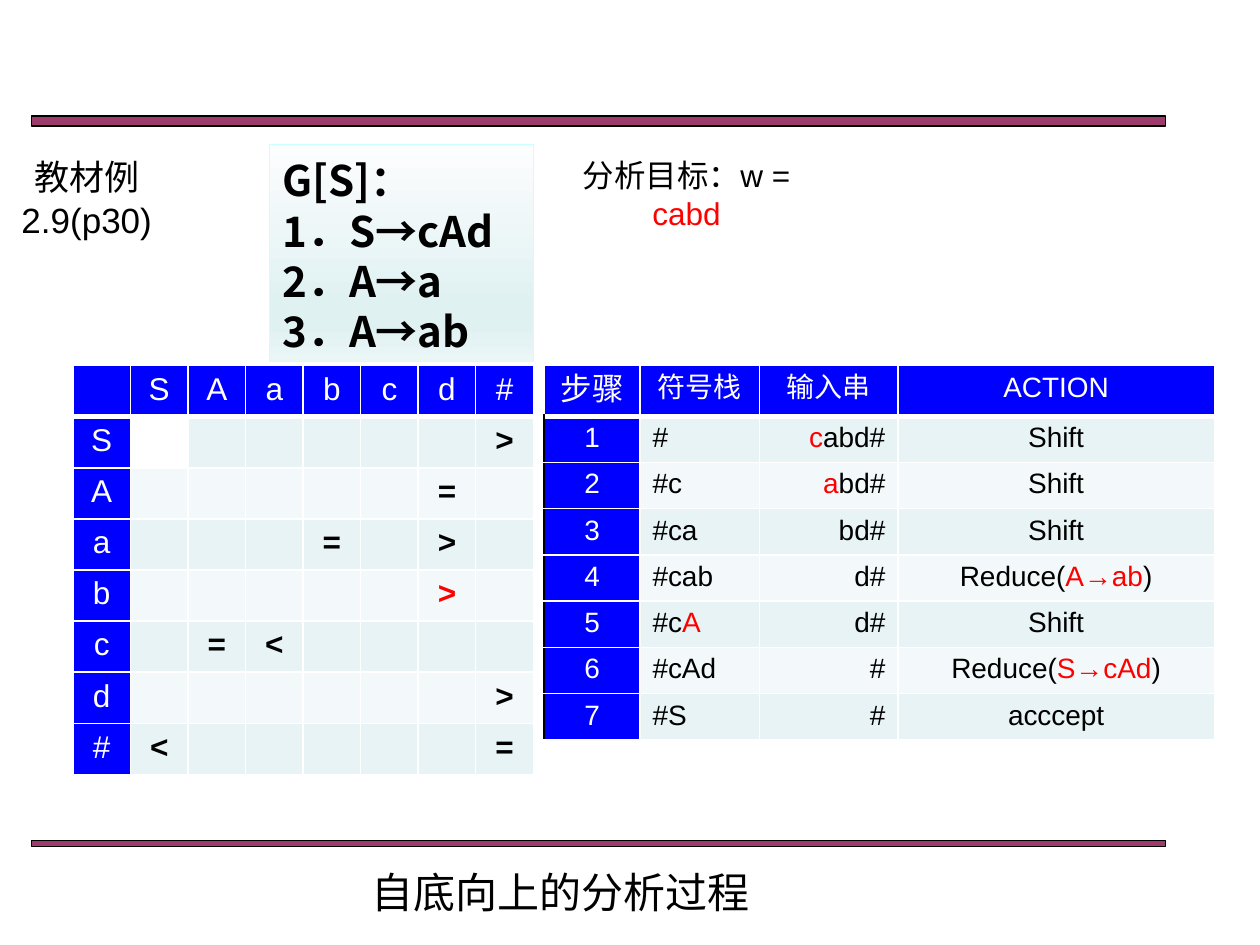
from lxml import etree
from pptx import Presentation
from pptx.dml.color import RGBColor
from pptx.enum.shapes import MSO_SHAPE
from pptx.enum.text import MSO_ANCHOR, MSO_AUTO_SIZE, PP_ALIGN
from pptx.oxml.ns import qn
from pptx.util import Cm, Pt

RECTANGLE = MSO_SHAPE.RECTANGLE
TOP = MSO_ANCHOR.TOP
FIXED = MSO_AUTO_SIZE.NONE
LEFT, CENTER, RIGHT, JUSTIFY = PP_ALIGN.LEFT, PP_ALIGN.CENTER, PP_ALIGN.RIGHT, PP_ALIGN.JUSTIFY
BLACK, WHITE, RED, BLUE = "000000", "FFFFFF", "FF0000", "0000FF"
BANDS = ["E7F3F4", "F3F9FA"]


def rgb(color):
    return RGBColor.from_string(color)


class SlideBuilder:
    font = "Arial"
    grammar_font = "Noto Sans CJK SC"
    rule_color = "993366"
    grammar_line = "CCFFFF"
    grammar_stops = [(0, "FCFDFE"), (74, "E0F1F2"), (83, "E0F1F2"), (100, "EBF6F7")]

    def __init__(self, slide):
        self.slide = slide

    def add_runs(self, paragraph, text, size, color=BLACK, align=CENTER, bold=False, font=None):
        paragraph.alignment = align
        for index, piece in enumerate(text.split("*")):
            if not piece:
                continue
            run = paragraph.add_run()
            run.text = piece
            run.font.size = Pt(size)
            run.font.bold = bold
            run.font.name = font or self.font
            run.font.color.rgb = rgb(RED if index % 2 else color)
            east_asian = etree.SubElement(run._r.get_or_add_rPr(), qn("a:ea"))
            east_asian.set("typeface", font or self.font)

    def panel(self, left, top, width, height, line_color):
        panel = self.slide.shapes.add_shape(RECTANGLE, Cm(left), Cm(top), Cm(width), Cm(height))
        panel.shadow.inherit = False
        panel.line.color.rgb = rgb(line_color)
        panel.line.width = Pt(0.75)
        return panel

    def rule(self, top, height):
        rule = self.panel(0.64, top, 22.86, height, BLACK)
        rule.fill.solid()
        rule.fill.fore_color.rgb = rgb(self.rule_color)
        color = next(rule._element.spPr.iter(qn("a:srgbClr")))
        etree.SubElement(color, qn("a:alpha")).set("val", "96000")

    def grammar(self, productions, left, top, width, height):
        grammar = self.panel(left, top, width, height, self.grammar_line)
        grammar.fill.gradient()
        grammar.fill.gradient_angle = 270
        stops = next(grammar._element.spPr.iter(qn("a:gsLst")))
        stops.clear()
        for position, color in self.grammar_stops:
            stop = etree.SubElement(stops, qn("a:gs"))
            stop.set("pos", str(position * 1000))
            etree.SubElement(stop, qn("a:srgbClr")).set("val", color)
        frame = grammar.text_frame
        frame.vertical_anchor = TOP
        frame.margin_top = Cm(0.2)
        for index, production in enumerate(productions):
            paragraph = frame.add_paragraph() if index else frame.paragraphs[0]
            paragraph.line_spacing = Pt(28.8)
            self.add_runs(paragraph, production, 24, align=JUSTIFY, bold=True, font=self.grammar_font)

    def note(self, text, left, top, width, height, size):
        note = self.slide.shapes.add_textbox(Cm(left), Cm(top), Cm(width), Cm(height))
        note.text_frame.word_wrap = True
        self.add_runs(note.text_frame.paragraphs[0], text, size)

    def title(self, text, left, top, width, height):
        title = self.slide.shapes.title
        title.left, title.top, title.width, title.height = Cm(left), Cm(top), Cm(width), Cm(height)
        frame = title.text_frame
        frame.auto_size = FIXED
        frame.word_wrap = False
        frame.vertical_anchor = TOP
        self.add_runs(frame.paragraphs[0], text, 24)

    def table(self, left, top, widths, heights):
        frame = self.slide.shapes.add_table(
            len(heights), len(widths), Cm(left), Cm(top), Cm(sum(widths)), Cm(sum(heights)))
        table = frame.table
        for column, width in zip(table.columns, widths):
            column.width = Cm(width)
        for row, height in zip(table.rows, heights):
            row.height = Cm(height)
        return table

    def cell(self, cell, text, fill, size, color=BLACK, align=CENTER, bold=False,
             left_border=WHITE, bottom_width=1):
        self.add_runs(cell.text_frame.paragraphs[0], text, size, color, align, bold)
        properties = cell._tc.get_or_add_tcPr()
        borders = [("L", left_border, 1), ("R", WHITE, 1), ("T", WHITE, 1), ("B", WHITE, bottom_width)]
        for side, border_color, width in borders:
            border = etree.SubElement(properties, qn(f"a:ln{side}"))
            border.set("w", str(Pt(width)))
            solid = etree.SubElement(border, qn("a:solidFill"))
            etree.SubElement(solid, qn("a:srgbClr")).set("val", border_color)
        if fill:
            cell.fill.solid()
            cell.fill.fore_color.rgb = rgb(fill)
        else:
            cell.fill.background()

    def precedence(self, symbols, relations, left, top):
        labels = [""] + symbols
        table = self.table(left, top, [1.16] * len(labels), [1.03] * len(labels))
        for row, row_label in enumerate(labels):
            for column, column_label in enumerate(labels):
                cell = table.cell(row, column)
                if row == 0:
                    self.cell(cell, column_label, BLUE, 18, WHITE, bottom_width=3)
                elif column == 0:
                    self.cell(cell, row_label, BLUE, 18, WHITE)
                else:
                    fill = None if row == column == 1 else BANDS[(row - 1) % 2]
                    relation = relations.get((row_label, column_label), "")
                    self.cell(cell, relation, fill, 18, bold=True)

    def steps(self, headings, moves, left, top):
        table = self.table(left, top, [1.93, 2.41, 2.79, 6.38], [1.02] + [0.93] * len(moves))
        for column, heading in enumerate(headings):
            self.cell(table.cell(0, column), heading, BLUE, 16 if column else 18, WHITE, bottom_width=3)
        for number, move in enumerate(moves, 1):
            self.cell(table.cell(number, 0), str(number), BLUE, 16, WHITE, left_border=BLACK)
            for column, (text, align) in enumerate(zip(move, [LEFT, RIGHT, CENTER]), 1):
                self.cell(table.cell(number, column), text, BANDS[(number - 1) % 2], 16, align=align)


def main():
    presentation = Presentation()
    presentation.slide_width, presentation.slide_height = Cm(25.4), Cm(19.05)
    builder = SlideBuilder(presentation.slides.add_slide(presentation.slide_layouts[5]))

    builder.rule(2.34, 0.2)
    builder.rule(16.94, 0.13)
    builder.grammar(["G[S]：", "1．S→cAd", "2．A→a", "3．A→ab"], 5.44, 2.92, 5.31, 4.37)
    builder.note("教材例2.9(p30)", 0.1, 3.02, 3.3, 1.9, 20)
    builder.note("分析目标：w = *cabd*", 11.3, 3.02, 5.08, 1.7, 18)
    builder.title("自底向上的分析过程", 7.19, 17.35, 8.2, 1.27)

    relations = {
        ("S", "#"): ">", ("A", "d"): "=", ("a", "b"): "=", ("a", "d"): ">",
        ("b", "d"): "*>*", ("c", "A"): "=", ("c", "a"): "<", ("d", "#"): ">",
        ("#", "S"): "<", ("#", "#"): "=",
    }
    builder.precedence(["S", "A", "a", "b", "c", "d", "#"], relations, 1.47, 7.37)

    moves = [
        ("#", "*c*abd#", "Shift"),
        ("#c", "*a*bd#", "Shift"),
        ("#ca", "bd#", "Shift"),
        ("#cab", "d#", "Reduce(*A→ab*)"),
        ("#c*A*", "d#", "Shift"),
        ("#cAd", "#", "Reduce(*S→cAd*)"),
        ("#S", "#", "acccept"),
    ]
    builder.steps(["步骤", "符号栈", "输入串", "ACTION"], moves, 10.97, 7.37)
    presentation.save("out.pptx")


if __name__ == "__main__":
    main()
